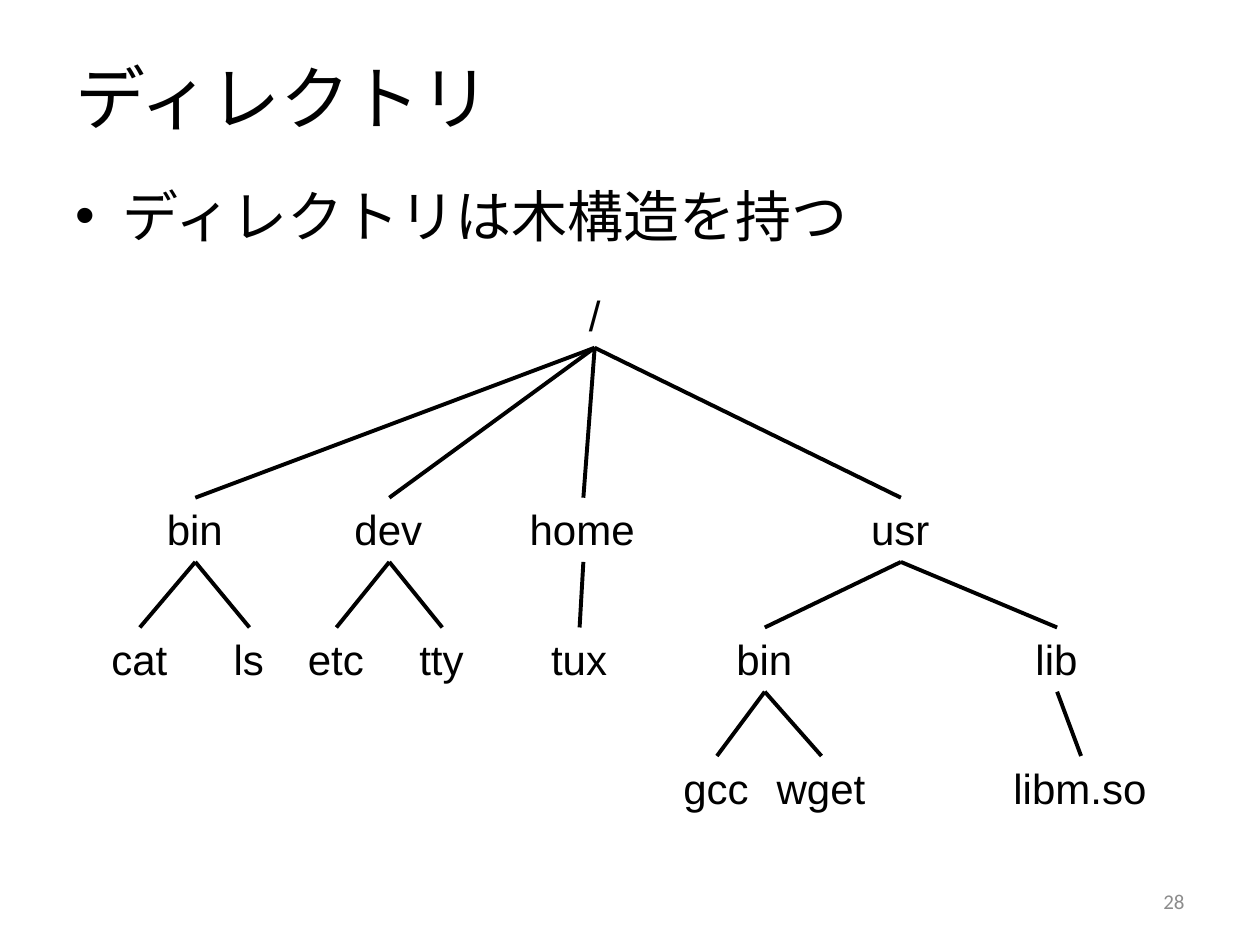
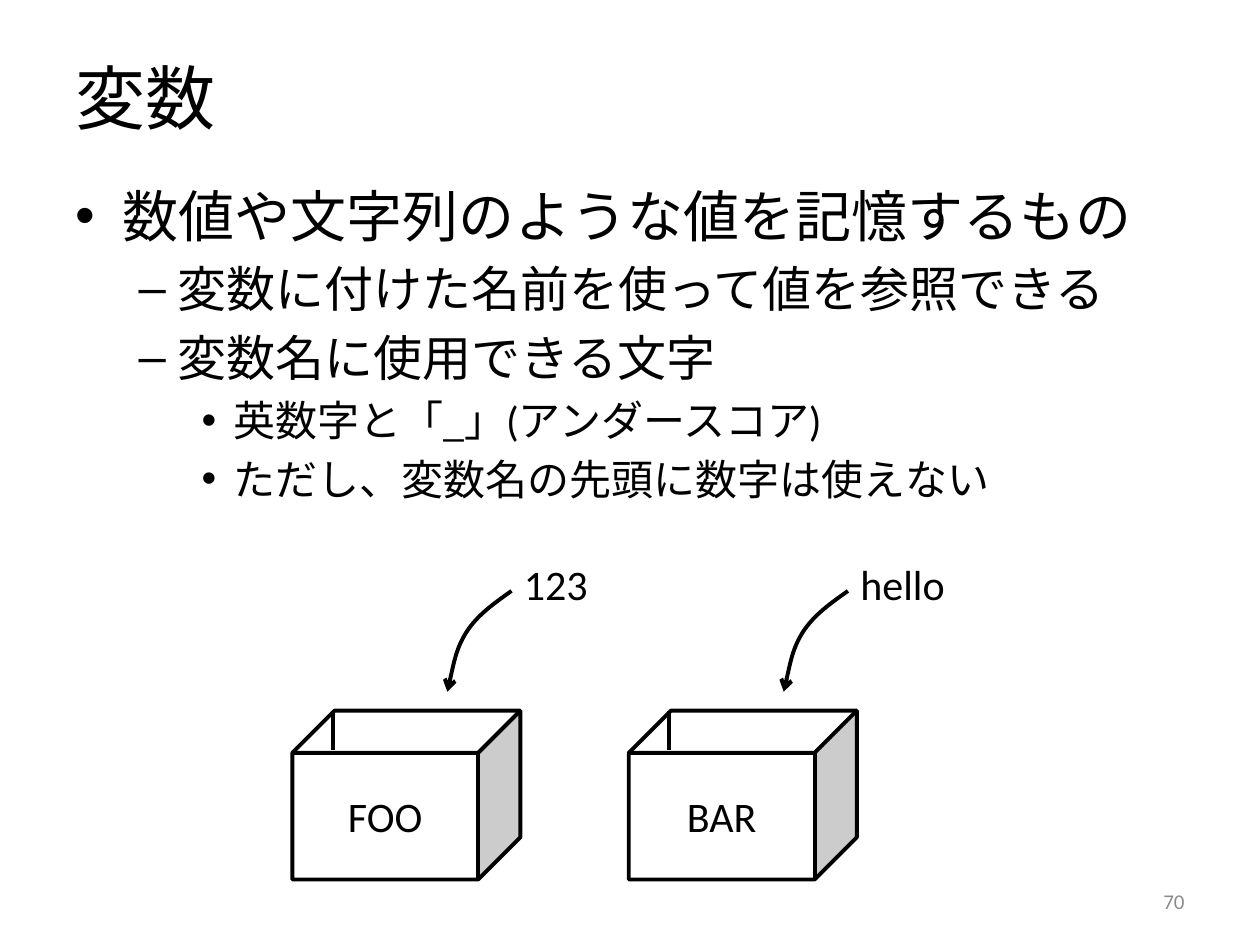
from lxml import etree
from pptx import Presentation
from pptx.dml.color import RGBColor
from pptx.enum.lang import MSO_LANGUAGE_ID
from pptx.enum.shapes import MSO_CONNECTOR, MSO_SHAPE
from pptx.enum.text import MSO_ANCHOR, MSO_AUTO_SIZE, PP_ALIGN
from pptx.oxml.ns import qn
from pptx.util import Inches, Pt

STRAIGHT, CUBE = MSO_CONNECTOR.STRAIGHT, MSO_SHAPE.CUBE
MIDDLE = MSO_ANCHOR.MIDDLE
LEFT, CENTER, RIGHT = PP_ALIGN.LEFT, PP_ALIGN.CENTER, PP_ALIGN.RIGHT
GROW = MSO_AUTO_SIZE.SHAPE_TO_FIT_TEXT
JAPANESE = MSO_LANGUAGE_ID.JAPANESE
TOP_SIDE, BOTTOM_SIDE = 0, 2

# Shared style; the slide is a grid of 10 columns and 7.5 rows
COLS, ROWS = 10, 7.5
CELL = Inches(1)
BLACK, WHITE, GREY = "000000", "FFFFFF", "8C8C8C"
BODY_FONT, TREE_FONT = "Calibri", "Arial"
TITLE_SIZE, LABEL_SIZE, NUMBER_SIZE = 40, 24, 12
LEVEL_SIZES = [32, 28, 24]
LINE_WIDTH = 2.25
LABEL_H = 0.51
TITLE_AREA = (0.5, 0.3, 9, 0.93)
BODY_AREA = (0.5, 1.39, 9, 5.51)
NUMBER_AREA = (7.17, 6.95, 2.33, 0.4)

# Directory tree: name, centre column, width, children
LEVEL_TOPS = [2.25, 3.95, 4.98, 6]
TREE = ("/", 4.72, 0.29, [
    ("bin", 1.55, 0.65, [("cat", 1.11, 0.65, []), ("ls", 1.98, 0.45, [])]),
    ("dev", 3.09, 0.75, [("etc", 2.67, 0.65, []), ("tty", 3.51, 0.56, [])]),
    ("home", 4.63, 1.05, [("tux", 4.6, 0.65, [])]),
    ("usr", 7.15, 0.67, [
        ("bin", 6.07, 0.65, [("gcc", 5.69, 0.73, []),
                             ("wget", 6.52, 0.91, [])]),
        ("lib", 8.39, 0.54, [("libm.so", 8.58, 1.27, [])]),
    ]),
])

# Variables: name, value, width of the value
VARIABLES = [("FOO", "123", 0.71), ("BAR", "hello", 0.88)]
BOX_LEFT, BOX_TOP, BOX_STEP = 2.32, 5.64, 2.67
ARROW_CURVE = [(1.74, 4.69), (1.6, 4.79), (1.47, 4.88), (1.38, 5.02),
               (1.3, 5.15), (1.27, 5.32), (1.23, 5.49)]


def grid(*cells):
    return [round(c * CELL) for c in cells]


def color(hex_string):
    return RGBColor.from_string(hex_string)


def add_run(p, text, size, font=BODY_FONT, hex_string=BLACK):
    r = p.add_run()
    r.text = text
    r.font.size = Pt(size)
    r.font.name = font
    r.font.color.rgb = color(hex_string)
    r.font.language_id = JAPANESE


def style_line(sp):
    sp.line.color.rgb = color(BLACK)
    sp.line.width = Pt(LINE_WIDTH)


def place(sp, area):
    sp.left, sp.top, sp.width, sp.height = grid(*area)


def add_label(shapes, text, area, font):
    sp = shapes.add_textbox(*grid(*area))
    tf = sp.text_frame
    tf.word_wrap = False
    tf.auto_size = GROW
    add_run(tf.paragraphs[0], text, LABEL_SIZE, font)
    return sp


def add_line(shapes, start, end):
    line = shapes.add_connector(STRAIGHT, *grid(*start, *end))
    style_line(line)
    etree.SubElement(line._element.spPr, qn("a:effectLst"))
    return line


def add_curved_arrow(shapes, points):
    points = [grid(*point) for point in points]
    builder = shapes.build_freeform(*points[0])
    builder.add_line_segments(points[1:], close=False)
    sp = builder.convert_to_shape()
    sp.shadow.inherit = False
    sp.fill.background()
    style_line(sp)
    # Turn every three segments into one Bezier segment
    outline = next(sp._element.iter(qn("a:path")))
    segments = outline.findall(qn("a:lnTo"))
    for i in range(0, len(segments), 3):
        curve = etree.SubElement(outline, qn("a:cubicBezTo"))
        for segment in segments[i:i + 3]:
            curve.append(segment[0])
            outline.remove(segment)
    etree.SubElement(sp.line._get_or_add_ln(), qn("a:tailEnd"), type="arrow")


def add_content_slide(prs, title, items, number):
    s = prs.slides.add_slide(prs.slide_layouts[1])
    # Title
    place(s.shapes.title, TITLE_AREA)
    tf = s.shapes.title.text_frame
    tf.vertical_anchor = MIDDLE
    tf.paragraphs[0].alignment = LEFT
    add_run(tf.paragraphs[0], title, TITLE_SIZE)
    # Bulleted list
    body = s.placeholders[1]
    place(body, BODY_AREA)
    tf = body.text_frame
    for i, (level, text) in enumerate(items):
        p = tf.add_paragraph() if i else tf.paragraphs[0]
        p.level = level
        if i == 0:
            p.space_before = Pt(0)
        add_run(p, text, LEVEL_SIZES[level])
    # Slide number
    tf = s.shapes.add_textbox(*grid(*NUMBER_AREA)).text_frame
    tf.word_wrap = True
    tf.vertical_anchor = MIDDLE
    tf.paragraphs[0].alignment = RIGHT
    add_run(tf.paragraphs[0], number, NUMBER_SIZE, hex_string=GREY)
    return s


def add_tree(shapes, node, depth=0):
    name, centre, width, children = node
    top = LEVEL_TOPS[depth]
    sp = add_label(shapes, name, (centre - width / 2, top, width, LABEL_H),
                   TREE_FONT)
    for child in children:
        child_sp = add_tree(shapes, child, depth + 1)
        line = add_line(shapes, (centre, top + LABEL_H),
                        (child[1], LEVEL_TOPS[depth + 1]))
        line.begin_connect(sp, BOTTOM_SIDE)
        line.end_connect(child_sp, TOP_SIDE)
    return sp


def add_variable(shapes, left, name, value, value_width):
    box = shapes.add_shape(CUBE, *grid(left, BOX_TOP, 1.81, 1.34))
    box.shadow.inherit = False
    box.fill.solid()
    box.fill.fore_color.rgb = color(WHITE)
    style_line(box)
    tf = box.text_frame
    tf.vertical_anchor = MIDDLE
    tf.paragraphs[0].alignment = CENTER
    add_run(tf.paragraphs[0], name, LABEL_SIZE)
    # Inner edge of the open box
    edge = left + 0.32
    add_line(shapes, (edge, BOX_TOP), (edge, BOX_TOP + 0.31))
    # Value going into the box
    add_label(shapes, value, (left + 1.74, 4.38, value_width, LABEL_H),
              BODY_FONT)
    add_curved_arrow(shapes, [(left + x, y) for x, y in ARROW_CURVE])


def main():
    prs = Presentation()
    prs.slide_width, prs.slide_height = grid(COLS, ROWS)

    s = add_content_slide(prs, "ディレクトリ",
                          [(0, "ディレクトリは木構造を持つ")], "28")
    add_tree(s.shapes.add_group_shape().shapes, TREE)

    s = add_content_slide(prs, "変数", [
        (0, "数値や文字列のような値を記憶するもの"),
        (1, "変数に付けた名前を使って値を参照できる"),
        (1, "変数名に使用できる文字"),
        (2, "英数字と「_」(アンダースコア)"),
        (2, "ただし、変数名の先頭に数字は使えない"),
    ], "70")
    for i, variable in enumerate(VARIABLES):
        add_variable(s.shapes.add_group_shape().shapes,
                     BOX_LEFT + i * BOX_STEP, *variable)

    prs.save("out.pptx")


if __name__ == "__main__":
    main()
